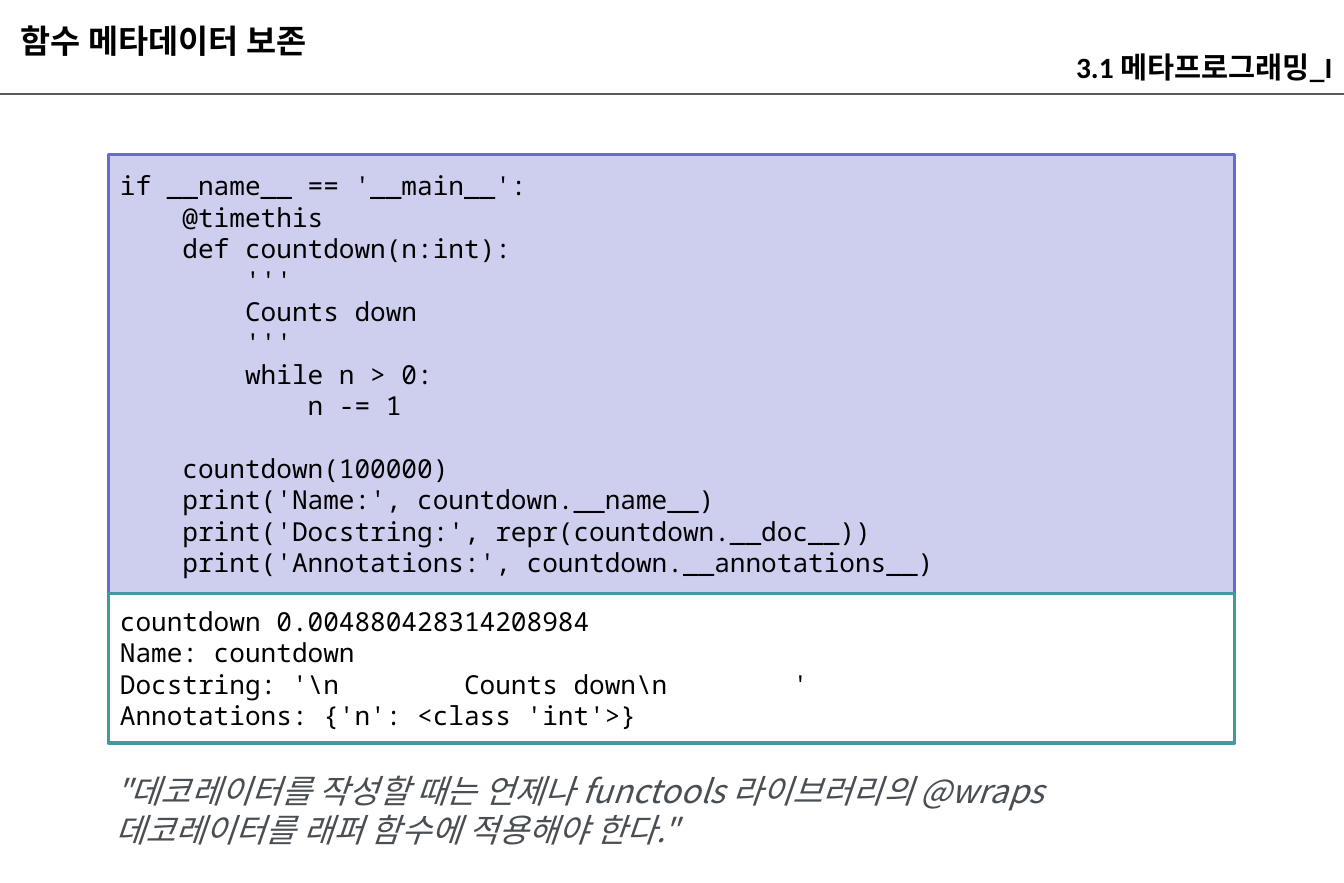
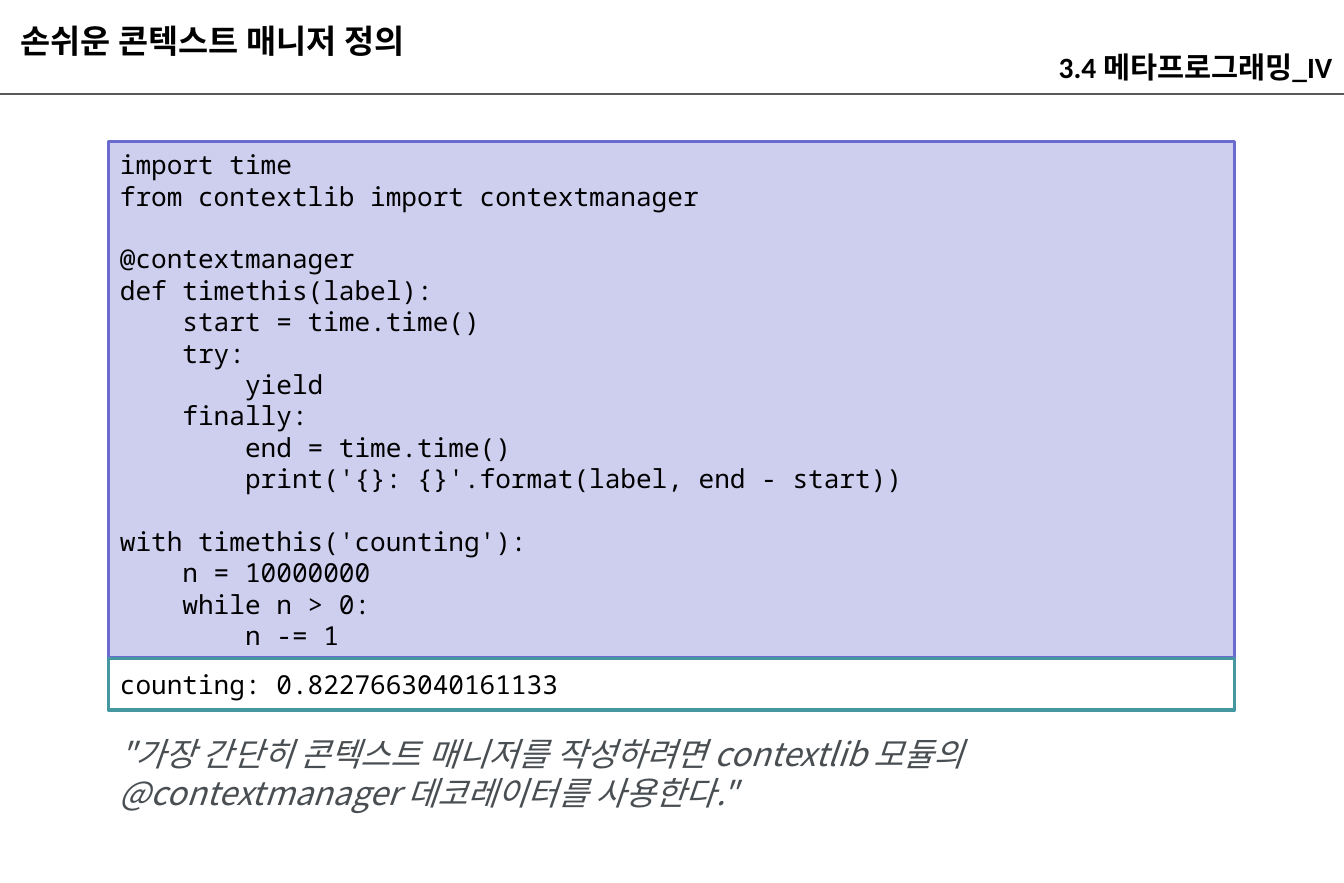
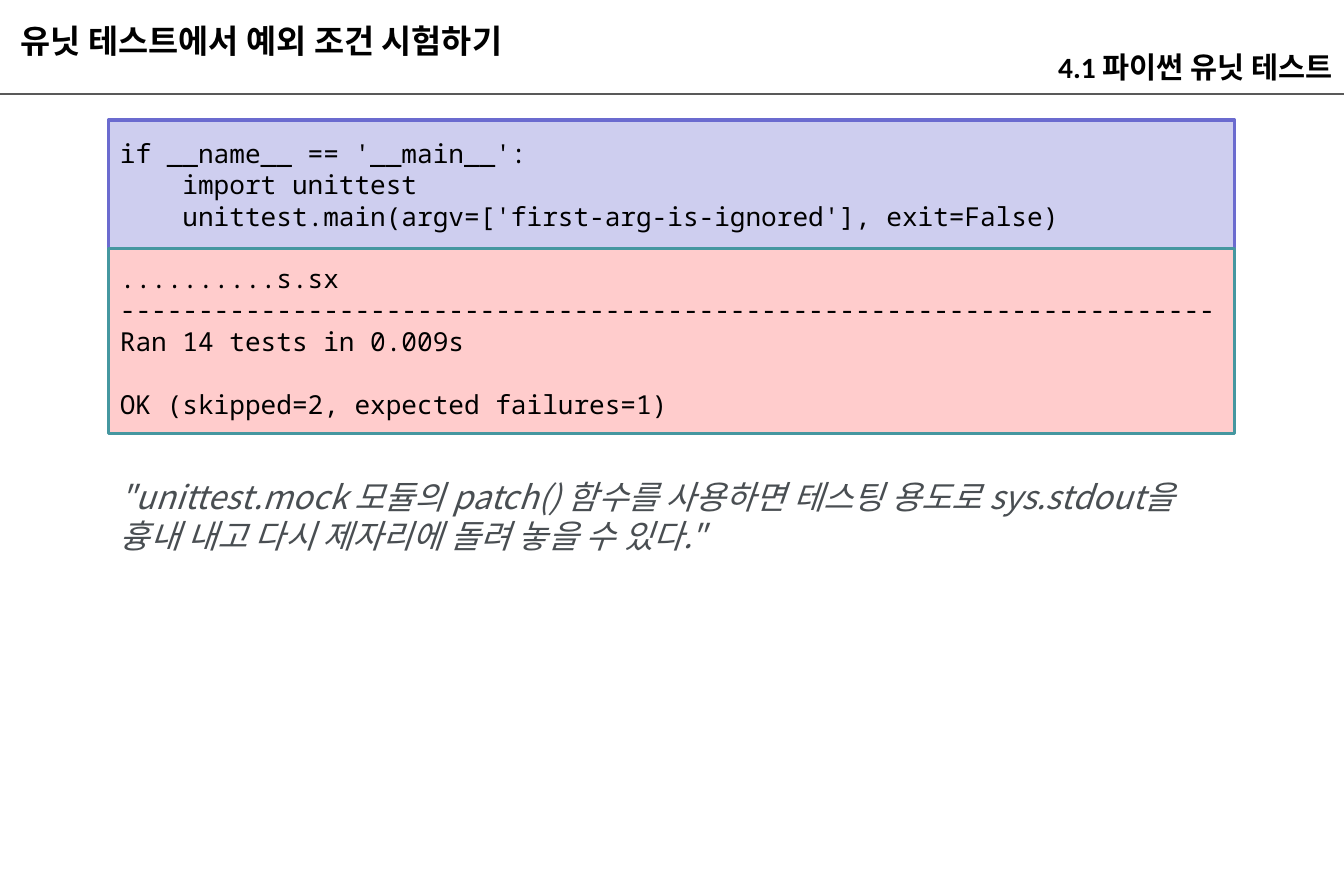
from dataclasses import dataclass

from lxml import etree
from pptx import Presentation
from pptx.dml.color import RGBColor
from pptx.enum.shapes import MSO_CONNECTOR, MSO_SHAPE
from pptx.enum.text import MSO_ANCHOR, MSO_AUTO_SIZE, PP_ALIGN
from pptx.oxml.ns import qn
from pptx.shapes.autoshape import Shape
from pptx.slide import Slide
from pptx.text.text import _Paragraph as Paragraph
from pptx.util import Cm, Pt

STRAIGHT = MSO_CONNECTOR.STRAIGHT
RECTANGLE = MSO_SHAPE.RECTANGLE
BOTTOM, MIDDLE, TOP = MSO_ANCHOR.BOTTOM, MSO_ANCHOR.MIDDLE, MSO_ANCHOR.TOP
LEFT, RIGHT = PP_ALIGN.LEFT, PP_ALIGN.RIGHT
NO_FIT, GROW = MSO_AUTO_SIZE.NONE, MSO_AUTO_SIZE.SHAPE_TO_FIT_TEXT
BLANK_LAYOUT = 6


@dataclass(frozen=True)
class TextStyle:
    font: str
    size: float
    color: str
    bold: bool = False
    italic: bool = False


@dataclass(frozen=True)
class Theme:
    title: TextStyle = TextStyle("Calibri", 20, "000000", bold=True)
    section: TextStyle = TextStyle("Calibri", 18, "000000", bold=True)
    code: TextStyle = TextStyle("Noto Sans Mono", 16, "000000")
    quote: TextStyle = TextStyle("Noto Sans CJK KR", 20, "494E52", italic=True)
    korean_font: str = "Noto Sans CJK KR"
    code_line_height: float = 19.2
    rule: str = "595959"
    rule_width: float = 1.5
    code_fill: str = "CECEEF"
    code_border: str = "6B6BCF"
    output_fill: str = "FFFFFF"
    test_fill: str = "FFCCCC"
    output_border: str = "4597A0"
    border_width: float = 2


THEME = Theme()


@dataclass(frozen=True)
class Box:
    """A rectangle measured in centimetres."""
    left: float
    top: float
    width: float
    height: float


@dataclass(frozen=True)
class CodeSlide:
    title: str
    title_width: float
    section: str
    code_top: float
    code_height: float
    code: str
    output_height: float
    output: str
    quote: str
    quote_box: Box
    output_fill: str = THEME.output_fill


# Shared geometry, in centimetres
SLIDE_WIDTH, SLIDE_HEIGHT = 29.01, 19.05
RULE_TOP = 2.03
HEADING_HEIGHT = 1.12
SECTION_BOX = Box(15.52, 0.76, 13.49, HEADING_HEIGHT)
PANEL_WIDTH = 24.31
PANEL_LEFT = 2.34

# Slide content
SLIDES = [
    CodeSlide(
        title="함수 메타데이터 보존",
        title_width=12.98,
        section="3.1 메타프로그래밍_I",
        code_top=3.33,
        code_height=9.47,
        code="""if __name__ == '__main__':
    @timethis
    def countdown(n:int):
        '''
        Counts down
        '''
        while n > 0:
            n -= 1

    countdown(100000)
    print('Name:', countdown.__name__)
    print('Docstring:', repr(countdown.__doc__))
    print('Annotations:', countdown.__annotations__)""",
        output_height=3.23,
        output=r"""countdown 0.004880428314208984
Name: countdown
Docstring: '\n        Counts down\n        '
Annotations: {'n': <class 'int'>}""",
        quote='"데코레이터를 작성할 때는 언제나 functools 라이브러리의 @wraps '
              '데코레이터를 래퍼 함수에 적용해야 한다."',
        quote_box=Box(2.24, 16.51, 24.43, 1.96),
    ),
    CodeSlide(
        title="손쉬운 콘텍스트 매니저 정의",
        title_width=16.48,
        section="3.4 메타프로그래밍_IV",
        code_top=3.05,
        code_height=11.15,
        code="""import time
from contextlib import contextmanager

@contextmanager
def timethis(label):
    start = time.time()
    try:
        yield
    finally:
        end = time.time()
        print('{}: {}'.format(label, end - start))

with timethis('counting'):
    n = 10000000
    while n > 0:
        n -= 1""",
        output_height=1.12,
        output="counting: 0.8227663040161133",
        quote='"가장 간단히 콘텍스트 매니저를 작성하려면 contextlib 모듈의 '
              '@contextmanager 데코레이터를 사용한다."',
        quote_box=Box(2.34, 15.7, 24.64, 1.96),
    ),
    CodeSlide(
        title="유닛 테스트에서 예외 조건 시험하기",
        title_width=16.48,
        section="4.1 파이썬 유닛 테스트",
        code_top=2.59,
        code_height=2.77,
        code="""if __name__ == '__main__':
    import unittest
    unittest.main(argv=['first-arg-is-ignored'], exit=False)""",
        output_height=3.99,
        output=f"""..........s.sx
{"-" * 70}
Ran 14 tests in 0.009s

OK (skipped=2, expected failures=1)""",
        quote='"unittest.mock 모듈의 patch() 함수를 사용하면 테스팅 용도로 sys.stdout을 '
              '흉내 내고 다시 제자리에 돌려 놓을 수 있다."',
        quote_box=Box(2.34, 10.16, 24.64, 1.96),
        output_fill=THEME.test_fill,
    ),
]


def add_run(paragraph: Paragraph, text: str, style: TextStyle) -> None:
    run = paragraph.add_run()
    run.text = text
    font = run.font
    font.size = Pt(style.size)
    font.bold = style.bold
    font.italic = style.italic
    font.color.rgb = RGBColor.from_string(style.color)
    font.name = style.font
    # Korean glyphs use the East Asian font slot
    latin = font._element.find(qn("a:latin"))
    east_asian = etree.Element(qn("a:ea"), typeface=THEME.korean_font)
    latin.addnext(east_asian)


def add_text(slide: Slide, box: Box, text: str, style: TextStyle,
             heading: bool = False, alignment: PP_ALIGN = LEFT) -> None:
    shape = slide.shapes.add_textbox(
        Cm(box.left), Cm(box.top), Cm(box.width), Cm(box.height))
    frame = shape.text_frame
    frame.word_wrap = True
    frame.auto_size = NO_FIT if heading else GROW
    frame.vertical_anchor = BOTTOM if heading else TOP
    if heading:
        frame.margin_top = frame.margin_bottom = Cm(0.05)
    paragraph = frame.paragraphs[0]
    paragraph.alignment = alignment
    add_run(paragraph, text, style)


def add_rule(slide: Slide) -> None:
    rule = slide.shapes.add_connector(
        STRAIGHT, Cm(0), Cm(RULE_TOP), Cm(SLIDE_WIDTH), Cm(RULE_TOP))
    rule.line.color.rgb = RGBColor.from_string(THEME.rule)
    rule.line.width = Pt(THEME.rule_width)
    etree.SubElement(rule._element.spPr, qn("a:effectLst"))


def add_panel(slide: Slide, top: float, height: float, text: str,
              fill: str, border: str) -> Shape:
    shape = slide.shapes.add_shape(
        RECTANGLE, Cm(PANEL_LEFT), Cm(top), Cm(PANEL_WIDTH), Cm(height))
    shape.shadow.inherit = False
    shape.fill.solid()
    shape.fill.fore_color.rgb = RGBColor.from_string(fill)
    shape.line.color.rgb = RGBColor.from_string(border)
    shape.line.width = Pt(THEME.border_width)
    frame = shape.text_frame
    frame.word_wrap = True
    frame.vertical_anchor = MIDDLE
    # An empty code line becomes space before the line after it
    paragraph = frame.paragraphs[0]
    for block_index, block in enumerate(text.split("\n\n")):
        for line_index, line in enumerate(block.split("\n")):
            if block_index or line_index:
                paragraph = frame.add_paragraph()
            if block_index and not line_index:
                paragraph.space_before = Pt(THEME.code_line_height)
            paragraph.alignment = LEFT
            add_run(paragraph, line, THEME.code)
    return shape


def add_code_slide(presentation: Presentation, content: CodeSlide) -> None:
    slide = presentation.slides.add_slide(presentation.slide_layouts[BLANK_LAYOUT])
    # Header
    add_rule(slide)
    title_box = Box(0.2, 0.23, content.title_width, HEADING_HEIGHT)
    add_text(slide, title_box, content.title, THEME.title, heading=True)
    add_text(slide, SECTION_BOX, content.section, THEME.section,
             heading=True, alignment=RIGHT)
    # Code with its output directly below
    add_panel(slide, content.code_top, content.code_height, content.code,
              THEME.code_fill, THEME.code_border)
    add_panel(slide, content.code_top + content.code_height, content.output_height,
              content.output, content.output_fill, THEME.output_border)
    # Takeaway
    add_text(slide, content.quote_box, content.quote, THEME.quote)


def main() -> None:
    presentation = Presentation()
    presentation.slide_width = Cm(SLIDE_WIDTH)
    presentation.slide_height = Cm(SLIDE_HEIGHT)
    for content in SLIDES:
        add_code_slide(presentation, content)
    presentation.save("out.pptx")


if __name__ == "__main__":
    main()
